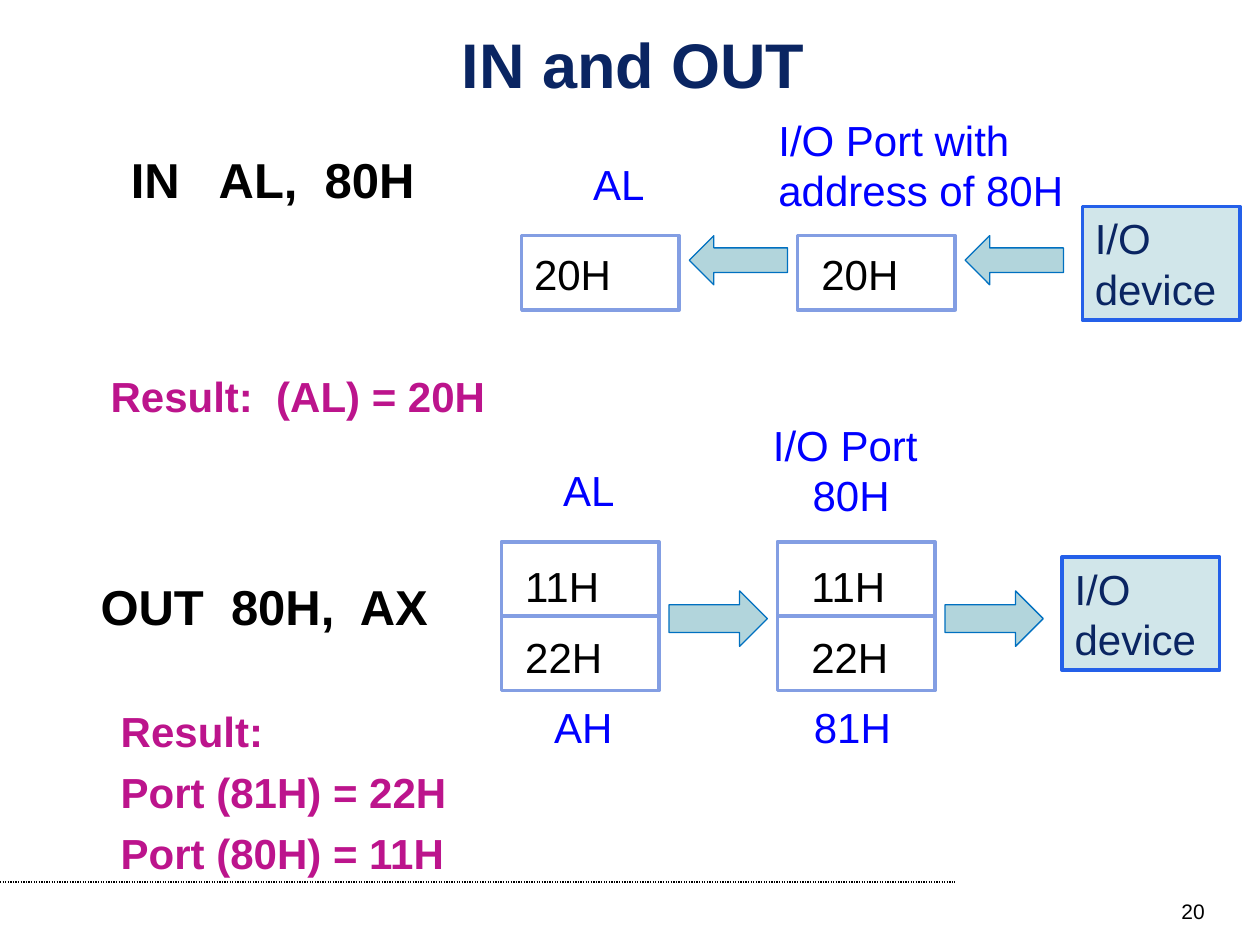
"""Build the slide on the IN and OUT port instructions."""
from lxml.etree import SubElement
from pptx import Presentation
from pptx.dml.color import RGBColor
from pptx.enum.dml import MSO_LINE
from pptx.enum.shapes import MSO_CONNECTOR, MSO_SHAPE
from pptx.enum.text import MSO_ANCHOR, PP_ALIGN
from pptx.oxml.ns import qn
from pptx.util import Inches, Pt

BLACK = RGBColor(0x00, 0x00, 0x00)
WHITE = RGBColor(0xFF, 0xFF, 0xFF)
NAVY = RGBColor(0x0A, 0x25, 0x62)
BLUE = RGBColor(0x00, 0x00, 0xFF)
PINK = RGBColor(0xBC, 0x14, 0x8C)
RIM = RGBColor(0x83, 0x9E, 0xE3)
TEAL = RGBColor(0xB2, 0xD5, 0xDC)
EDGE = RGBColor(0x00, 0x70, 0xC0)
PALE = RGBColor(0xD1, 0xE6, 0xEA)
ROYAL = RGBColor(0x24, 0x60, 0xE9)

HEAD = {"name": "Arial", "size": Pt(36), "bold": True, "color": NAVY}
CODE = {"name": "Arial", "size": Pt(28), "bold": True, "color": BLACK}
NOTE = {"name": "Arial", "size": Pt(24), "bold": True, "color": PINK}
LABEL = {"name": "Arial", "size": Pt(24), "bold": False, "color": BLUE}
VALUE = {**LABEL, "color": BLACK}
UNIT = {**LABEL, "color": NAVY}
PAGE = {**VALUE, "size": Pt(12)}
LEFT, MID, RIGHT = PP_ALIGN.LEFT, PP_ALIGN.CENTER, PP_ALIGN.RIGHT

TITLE = "IN and OUT"
DEVICE = "I/O device"
FLOWS = [
    {"left": 4.14, "top": 1.87, "rows": 1, "arrow": MSO_SHAPE.LEFT_ARROW,
     "lift": 0, "thick": 0.39, "unit": 1.64},
    {"left": 3.98, "top": 4.3, "rows": 2, "arrow": MSO_SHAPE.RIGHT_ARROW,
     "lift": 0.39, "thick": 0.44, "unit": 4.42},
]
TEXTS = [
    ((7.33, 7.08, 2.33, 0.27), ["20"], PAGE, RIGHT, 0),
    ((0.94, 1.14, 2.89, 0.57), ["IN   AL,  80H"], CODE, LEFT, 0),
    ((4.61, 1.21, 1.25, 0.5), ["AL"], LABEL, LEFT, 0),
    ((6.08, 0.86, 2.67, 0.9), ["I/O Port with address of 80H"], LABEL, LEFT, 0),
    ((6.42, 1.92, 1.01, 0.5), ["20H"], VALUE, LEFT, 0),
    ((4.14, 1.92, 1.01, 0.5), ["20H"], VALUE, LEFT, 0),
    ((0.7, 4.53, 3.05, 0.57), ["OUT  80H,  AX"], CODE, LEFT, 0),
    ((4.37, 3.64, 0.78, 0.5), ["AL"], LABEL, LEFT, 0),
    ((5.93, 3.28, 1.65, 0.9), ["I/O Port ", "80H"], LABEL, MID, 0),
    ((4.3, 5.52, 1.25, 0.5), ["AH"], LABEL, LEFT, 0),
    ((5.94, 5.52, 1.65, 0.5), ["81H"], LABEL, MID, 0),
    ((6.34, 4.4, 1.08, 1.07), ["11H", "22H"], VALUE, LEFT, 12),
    ((4.07, 4.4, 1.08, 1.07), ["11H", "22H"], VALUE, LEFT, 12),
    ((0.78, 2.89, 3.36, 0.5), ["Result:  (AL) = 20H"], NOTE, LEFT, 0),
    ((0.86, 5.55, 3.05, 1.47),
     ["Result:", "Port (81H) = 22H", "Port (80H) = 11H"], NOTE, LEFT, 6),
]
PITCH, WIDE, HIGH = 2.19, 1.25, 0.59


def write(shape, lines, style, align, gap=0, anchor=MSO_ANCHOR.TOP):
    frame = shape.text_frame
    frame.word_wrap = True
    frame.vertical_anchor = anchor
    for side in ("left", "right"):
        setattr(frame, f"margin_{side}", Inches(0.1))
    for side in ("top", "bottom"):
        setattr(frame, f"margin_{side}", Inches(0.05))
    for i, line in enumerate(lines):
        para = frame.add_paragraph() if i else frame.paragraphs[0]
        para.alignment = align
        para.space_before = Pt(gap if i else 0)
        run = para.add_run()
        run.text = line
        for key, value in style.items():
            if key == "color":
                run.font.color.rgb = value
            else:
                setattr(run.font, key, value)


def draw(slide, kind, box, fill, line, width):
    shape = slide.shapes.add_shape(kind, *map(Inches, box))
    shape.shadow.inherit = False
    shape.fill.solid()
    shape.fill.fore_color.rgb = fill
    shape.line.color.rgb = line
    shape.line.width = Pt(width)
    return shape


def chart(slide, flow):
    left, top = flow["left"], flow["top"]
    for col in range(2):
        x = left + col * PITCH
        for row in range(flow["rows"]):
            box = (x, top + row * HIGH, WIDE, HIGH)
            draw(slide, MSO_SHAPE.RECTANGLE, box, WHITE, RIM, 2)
        box = (x + 1.33, top + flow["lift"], 0.78, flow["thick"])
        draw(slide, flow["arrow"], box, TEAL, EDGE, 0.75)
    box = (left + 4.45, flow["unit"], WIDE, 0.9)
    unit = draw(slide, MSO_SHAPE.RECTANGLE, box, PALE, ROYAL, 2)
    write(unit, [DEVICE], UNIT, LEFT)


def main():
    deck = Presentation()
    deck.slide_width, deck.slide_height = Inches(10), Inches(7.5)
    slide = deck.slides.add_slide(deck.slide_layouts[5])

    rule = slide.shapes.add_connector(
        MSO_CONNECTOR.STRAIGHT, 0, Inches(7), Inches(7.58), Inches(7))
    rule.line.color.rgb = BLACK
    rule.line.width = Pt(0.75)
    rule.line.dash_style = MSO_LINE.ROUND_DOT
    SubElement(rule._element.spPr, qn("a:effectLst"))

    title = slide.shapes.title
    title.left, title.top = Inches(0.5), Inches(0.25)
    title.width, title.height = Inches(9.05), Inches(0.5)
    write(title, [TITLE], HEAD, MID, anchor=MSO_ANCHOR.MIDDLE)

    for flow in FLOWS:
        chart(slide, flow)
    for box, lines, style, align, gap in TEXTS:
        area = slide.shapes.add_textbox(*map(Inches, box))
        write(area, lines, style, align, gap)
    deck.save("out.pptx")


if __name__ == "__main__":
    main()
